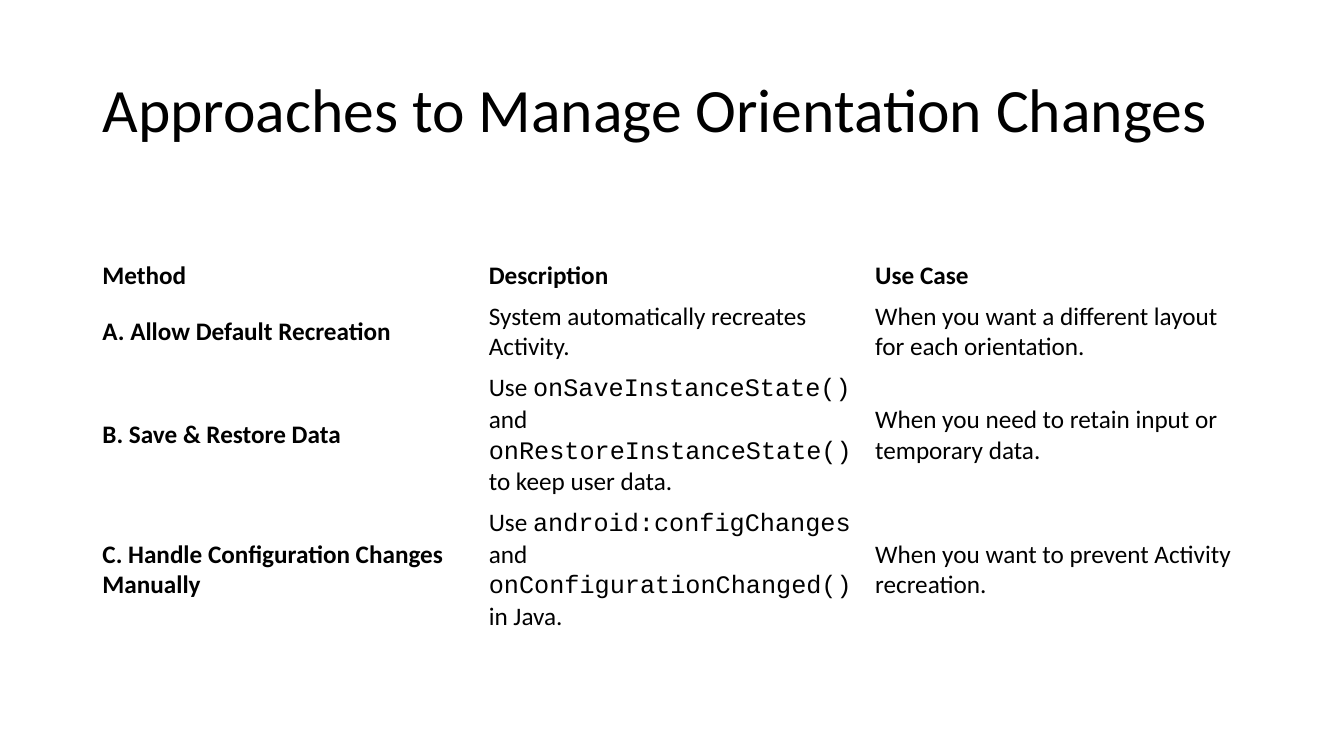
"""Builds a slide comparing three ways to manage orientation changes."""
from pptx import Presentation
from pptx import util as u
from pptx.dml.color import RGBColor
from pptx.enum import text
from pptx.oxml.ns import qn

PX = 9525
BLACK = RGBColor(0, 0, 0)
BODY_FONT = "Calibri"
CODE_FONT = "Courier New"
PLAIN_TABLE_STYLE = "{2D5ABB26-0587-4C30-8999-92F81FD0307C}"

LEFT, WIDTH = 88, 1104
ROW_HEIGHTS = [38, 67, 125, 125]
CODE_MARK = "`"
METHODS = [
    ["Method", "Description", "Use Case"],
    ["A. Allow Default Recreation",
     "System automatically recreates Activity.",
     "When you want a different layout for each orientation."],
    ["B. Save & Restore Data",
     "Use `onSaveInstanceState()` and `onRestoreInstanceState()` to keep user data.",
     "When you need to retain input or temporary data."],
    ["C. Handle Configuration Changes Manually",
     "Use `android:configChanges` and `onConfigurationChanged()` in Java.",
     "When you want to prevent Activity recreation."],
]


def px(*lengths):
    """Turn pixel lengths into EMU."""
    return [u.Emu(length * PX) for length in lengths]


def set_font(font, size, bold=False):
    """Apply the slide's black body font."""
    font.name = BODY_FONT
    font.size = u.Pt(size)
    font.bold = bold
    font.color.rgb = BLACK


def add_title(page, words):
    """Place and format the title placeholder."""
    title = page.shapes.title
    title.left, title.top, title.width, title.height = px(LEFT, 38, WIDTH, 139)
    frame = title.text_frame
    frame.text = words
    frame.vertical_anchor = text.MSO_ANCHOR.MIDDLE
    frame.auto_size = text.MSO_AUTO_SIZE.NONE
    para = frame.paragraphs[0]
    para.alignment = text.PP_ALIGN.LEFT
    para.line_spacing = 0.9
    set_font(para.font, 44)


def fill_cell(cell, words, bold):
    """Write a cell, setting the marked parts in the code font."""
    cell.fill.background()
    cell.vertical_anchor = text.MSO_ANCHOR.MIDDLE
    para = cell.text_frame.paragraphs[0]
    set_font(para.font, 18, bold)
    for index, part in enumerate(words.split(CODE_MARK)):
        span = para.add_run()
        span.text = part
        set_font(span.font, 18, bold)
        if index % 2:
            span.font.name = CODE_FONT


def add_methods_table(page, rows):
    """Add the unruled table with bold headings and method names."""
    columns = len(rows[0])
    table = page.shapes.add_table(
        len(rows), columns, *px(LEFT, 243, WIDTH, sum(ROW_HEIGHTS))).table
    table.first_row = table.horz_banding = False
    table._tbl.tblPr.find(qn("a:tableStyleId")).text = PLAIN_TABLE_STYLE
    for row, height in zip(table.rows, px(*ROW_HEIGHTS)):
        row.height = height
    for row, entries in enumerate(rows):
        for column, words in enumerate(entries):
            fill_cell(table.cell(row, column), words, row == 0 or column == 0)


def main():
    """Build and save the deck."""
    deck = Presentation()
    deck.slide_width, deck.slide_height = px(1280, 720)
    page = deck.slides.add_slide(deck.slide_layouts[5])
    add_title(page, "Approaches to Manage Orientation Changes")
    add_methods_table(page, METHODS)
    deck.save("out.pptx")


if __name__ == "__main__":
    main()
